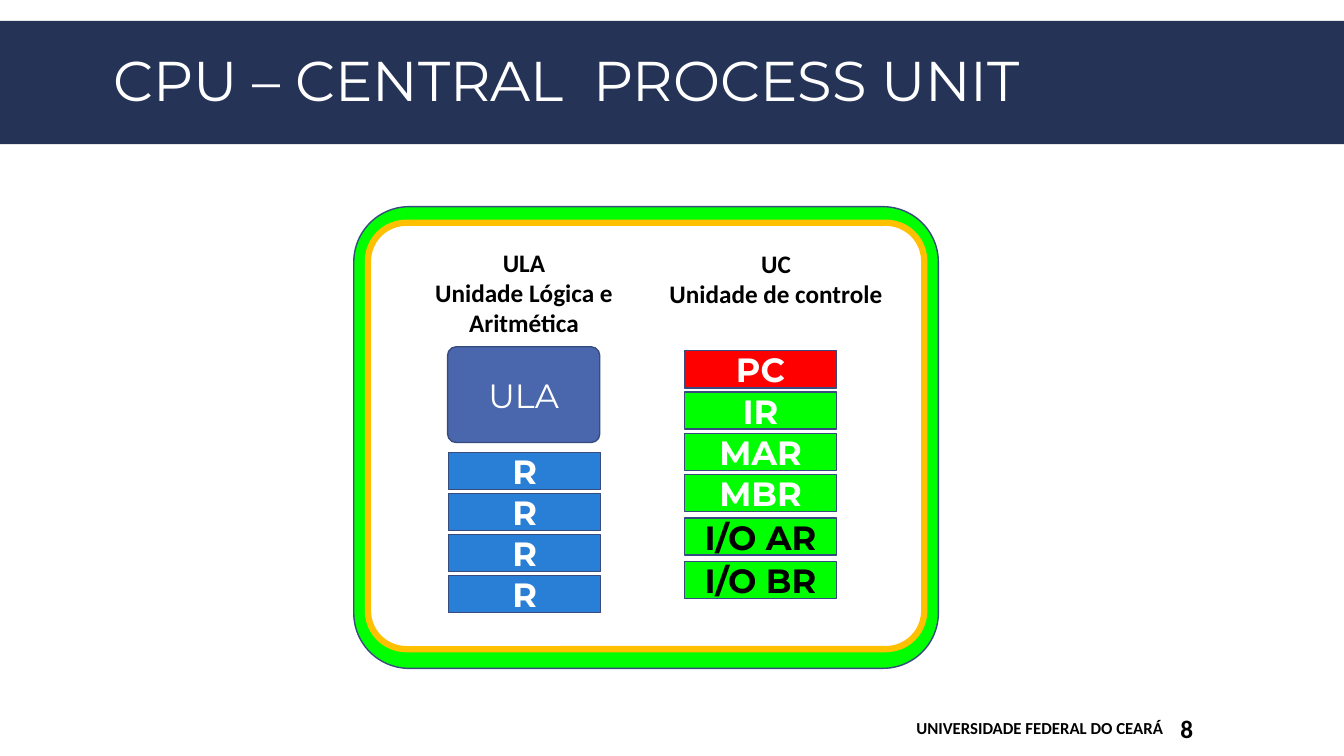
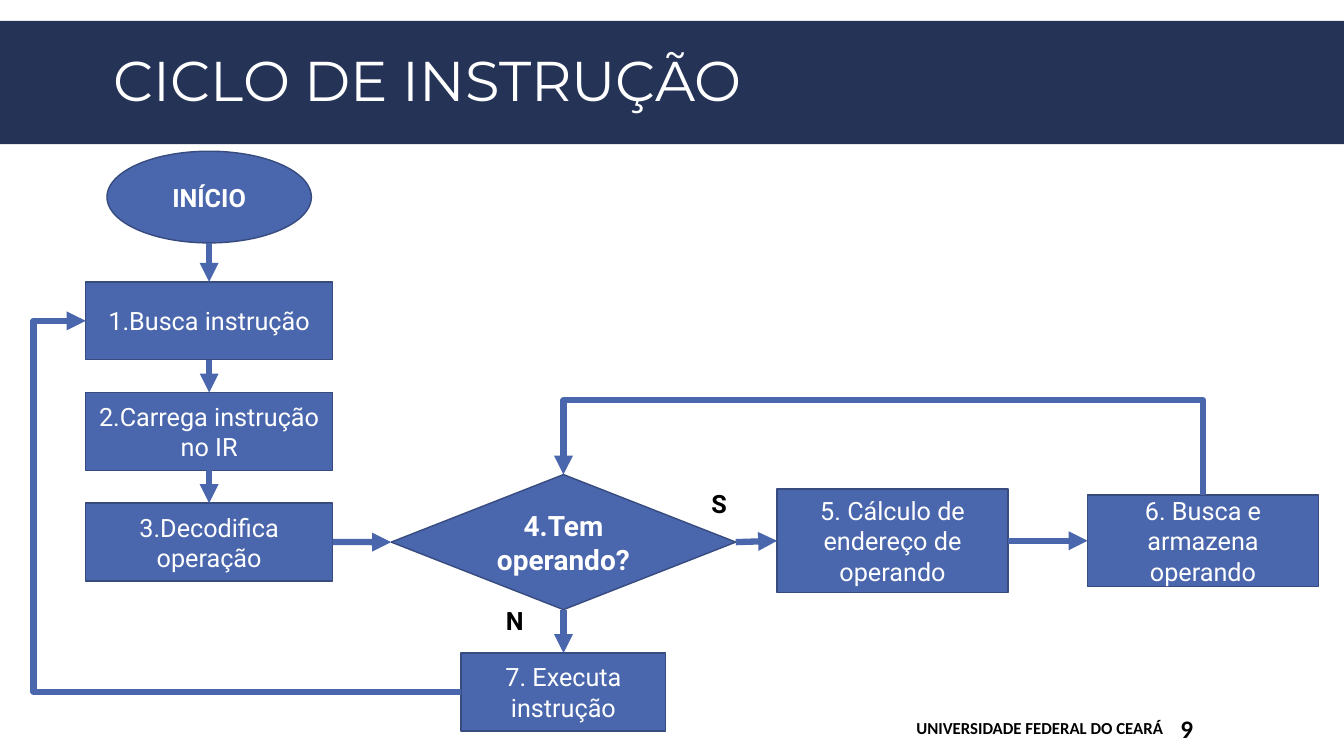
from dataclasses import dataclass

from lxml.etree import SubElement
from pptx import Presentation
from pptx.dml.color import RGBColor
from pptx.enum.shapes import MSO_CONNECTOR, MSO_SHAPE
from pptx.enum.text import MSO_ANCHOR, PP_ALIGN
from pptx.oxml.ns import qn
from pptx.util import Pt

TOP, LEFT, BOTTOM, RIGHT = range(4)


@dataclass(frozen=True)
class Theme:
    navy: str = "253356"
    indigo: str = "4A66AC"
    outline: str = "374B7F"
    blue: str = "297FD5"
    green: str = "00FF00"
    red: str = "FF0000"
    amber: str = "FFC000"
    white: str = "FFFFFF"
    black: str = "000000"
    title_size: int = 40
    register_size: int = 24
    decision_size: int = 20
    body_size: int = 18
    footer_size: int = 12
    title_font: str = "Montserrat"
    label_font: str = "Calibri"
    flow_font: str = "Roboto"


THEME = Theme()


def write_text(frame, text, *, font=THEME.flow_font, size=THEME.body_size,
               color=THEME.black, bold=False, align=PP_ALIGN.LEFT,
               anchor=MSO_ANCHOR.TOP, wrap=True, spacing=None,
               insets=(7.2, 3.6, 7.2, 3.6)):
    frame.word_wrap = wrap
    frame.vertical_anchor = anchor
    frame.margin_left, frame.margin_top, frame.margin_right, frame.margin_bottom = map(Pt, insets)
    for index, line in enumerate(text.split("\n")):
        paragraph = frame.paragraphs[0] if index == 0 else frame.add_paragraph()
        paragraph.alignment = align
        if spacing:
            paragraph.line_spacing = spacing
        run = paragraph.add_run()
        run.text = line
        run.font.name = font
        run.font.size = Pt(size)
        run.font.bold = bold
        run.font.color.rgb = RGBColor.from_string(color)


def side_middle(shape, side):
    left, top = shape.left.pt, shape.top.pt
    width, height = shape.width.pt, shape.height.pt
    return {
        TOP: (left + width / 2, top),
        LEFT: (left, top + height / 2),
        BOTTOM: (left + width / 2, top + height),
        RIGHT: (left + width, top + height / 2),
    }[side]


class Deck:
    def __init__(self, theme):
        self.theme = theme
        self.presentation = Presentation()
        self.presentation.slide_width = Pt(960)
        self.presentation.slide_height = Pt(540)
        self.slide = None

    def start_slide(self, title, number):
        theme = self.theme
        self.slide = self.presentation.slides.add_slide(self.presentation.slide_layouts[6])
        self.box((0, 15, 960, 88), theme.navy, line=None)
        self.label(title, (74, 18, 816, 84), font=theme.title_font, size=theme.title_size,
                   color=theme.white, anchor=MSO_ANCHOR.MIDDLE, spacing=0.85)
        footer = {"font": theme.label_font, "bold": True, "anchor": MSO_ANCHOR.MIDDLE}
        self.label("UNIVERSIDADE FEDERAL DO CEARÁ", (440.5, 505.5, 397.5, 29),
                   size=theme.footer_size, align=PP_ALIGN.RIGHT, **footer)
        self.label(str(number), (839.5, 505.5, 74, 29), insets=(3.6, 3.6, 7.2, 3.6), **footer)

    def label(self, text, area, **text_format):
        shape = self.slide.shapes.add_textbox(*map(Pt, area))
        write_text(shape.text_frame, text, **text_format)

    def box(self, area, fill, text="", *, kind=MSO_SHAPE.RECTANGLE, line=THEME.outline,
            line_width=1, rounding=None, **text_format):
        shape = self.slide.shapes.add_shape(kind, *map(Pt, area))
        shape.shadow.inherit = False
        shape.fill.solid()
        shape.fill.fore_color.rgb = RGBColor.from_string(fill)
        if line:
            shape.line.color.rgb = RGBColor.from_string(line)
            shape.line.width = Pt(line_width)
        else:
            shape.line.fill.background()
        if rounding is not None:
            shape.adjustments[0] = rounding
        if text:
            settings = {"color": self.theme.white, "align": PP_ALIGN.CENTER,
                        "anchor": MSO_ANCHOR.MIDDLE, **text_format}
            write_text(shape.text_frame, text, **settings)
        return shape

    def register(self, text, left, top, fill, height=26.6, **changes):
        settings = {"font": self.theme.title_font, "size": self.theme.register_size,
                    "bold": True, **changes}
        self.box((left, top, 108.7, height), fill, text, **settings)

    def arrow(self, kind, start, end):
        connector = self.slide.shapes.add_connector(kind, *map(Pt, (*start, *end)))
        connector.line.color.rgb = RGBColor.from_string(self.theme.indigo)
        connector.line.width = Pt(4.5)
        properties = connector.element.spPr
        SubElement(properties.find(qn("a:ln")), qn("a:tailEnd"), type="triangle")
        SubElement(properties, qn("a:effectLst"))
        return connector

    def link(self, source, source_side, target, target_side):
        connector = self.arrow(MSO_CONNECTOR.STRAIGHT, side_middle(source, source_side),
                               side_middle(target, target_side))
        if source.auto_shape_type != MSO_SHAPE.OVAL:
            connector.begin_connect(source, source_side)
        connector.end_connect(target, target_side)

    def elbow(self, start, end, bend, upright=False):
        axis = 1 if upright else 0
        ratio = (bend - start[axis]) / (end[axis] - start[axis])
        if upright:
            middle_x, middle_y = (start[0] + end[0]) / 2, (start[1] + end[1]) / 2
            half_width, half_height = (start[1] - end[1]) / 2, (start[0] - end[0]) / 2
            start = (middle_x - half_width, middle_y + half_height)
            end = (middle_x + half_width, middle_y - half_height)
        connector = self.arrow(MSO_CONNECTOR.ELBOW, start, end)
        properties = connector.element.spPr
        if upright:
            properties.find(qn("a:xfrm")).set("rot", str(270 * 60000))
        geometry = properties.find(qn("a:prstGeom"))
        adjustments = geometry.find(qn("a:avLst"))
        if adjustments is None:
            adjustments = SubElement(geometry, qn("a:avLst"))
        SubElement(adjustments, qn("a:gd"), name="adj1", fmla=f"val {round(ratio * 100000)}")


def build_processor(deck):
    theme = deck.theme
    rounded = MSO_SHAPE.ROUNDED_RECTANGLE
    deck.start_slide("CPU – CENTRAL  PROCESS UNIT", 8)
    deck.box((252.7, 147.6, 417.6, 329.8), theme.green, kind=rounded, rounding=0.12)
    deck.box((262.8, 159.1, 397.4, 304.6), theme.white, kind=rounded, rounding=0.09,
             line=theme.amber, line_width=4.5)

    heading = {"font": theme.label_font, "bold": True, "align": PP_ALIGN.CENTER}
    deck.label("ULA\nUnidade Lógica e Aritmética", (285.8, 172.8, 177, 72.7), **heading)
    deck.label("UC\nUnidade de controle", (465.8, 173.5, 177, 51), **heading)

    deck.register("ULA", 319.7, 247.7, theme.indigo, height=68.4, kind=rounded,
                  rounding=0.09, bold=False)
    for row in range(4):
        deck.register("R", 320.4, 323.3 + 29.25 * row, theme.blue)
    for row, name in enumerate(("PC", "IR", "MAR", "MBR")):
        deck.register(name, 488.9, 250.5 + 29.5 * row, theme.green if row else theme.red)
    for row, name in enumerate(("I/O AR", "I/O BR")):
        deck.register(name, 488.9, 370 + 31 * row, theme.green, color=theme.black)


def build_instruction_cycle(deck):
    theme = deck.theme
    deck.start_slide("CICLO DE INSTRUÇÃO", 9)
    begin = deck.box((76.4, 108, 146, 65.5), theme.indigo, "INÍCIO",
                     kind=MSO_SHAPE.OVAL, bold=True)
    steps = ("1.Busca instrução", "2.Carrega instrução no IR", "3.Decodifica operação")
    fetch, load, decode = [
        deck.box((61.2, 201.4 + 79 * row, 176.4, 55.6), theme.indigo, text)
        for row, text in enumerate(steps)
    ]
    decision = deck.box((279.4, 339, 246.2, 96.5), theme.indigo, "4.Tem operando?",
                        kind=MSO_SHAPE.FLOWCHART_DECISION, size=theme.decision_size, bold=True)
    execute = deck.box((329.4, 466.5, 146.2, 55.6), theme.indigo, "7. Executa instrução")
    address = deck.box((555.1, 349.2, 164.9, 74.2), theme.indigo,
                       "5. Cálculo de endereço de operando")
    operand = deck.box((776.9, 353.5, 164.9, 65.6), theme.indigo,
                       "6. Busca e armazena operando")

    deck.label("S", (501, 345, 25.2, 29), bold=True, wrap=False)
    deck.label("N", (354.2, 429, 29.5, 29), bold=True, wrap=False)

    for source, source_side, target, target_side in (
        (begin, BOTTOM, fetch, TOP),
        (fetch, BOTTOM, load, TOP),
        (load, BOTTOM, decode, TOP),
        (decode, RIGHT, decision, LEFT),
        (decision, RIGHT, address, LEFT),
        (address, RIGHT, operand, LEFT),
        (decision, BOTTOM, execute, TOP),
    ):
        deck.link(source, source_side, target, target_side)
    deck.elbow(side_middle(operand, TOP), side_middle(decision, TOP), 286, upright=True)
    deck.elbow(side_middle(execute, LEFT), side_middle(fetch, LEFT), 23.8)


def main():
    deck = Deck(THEME)
    build_processor(deck)
    build_instruction_cycle(deck)
    deck.presentation.save("out.pptx")


if __name__ == "__main__":
    main()
